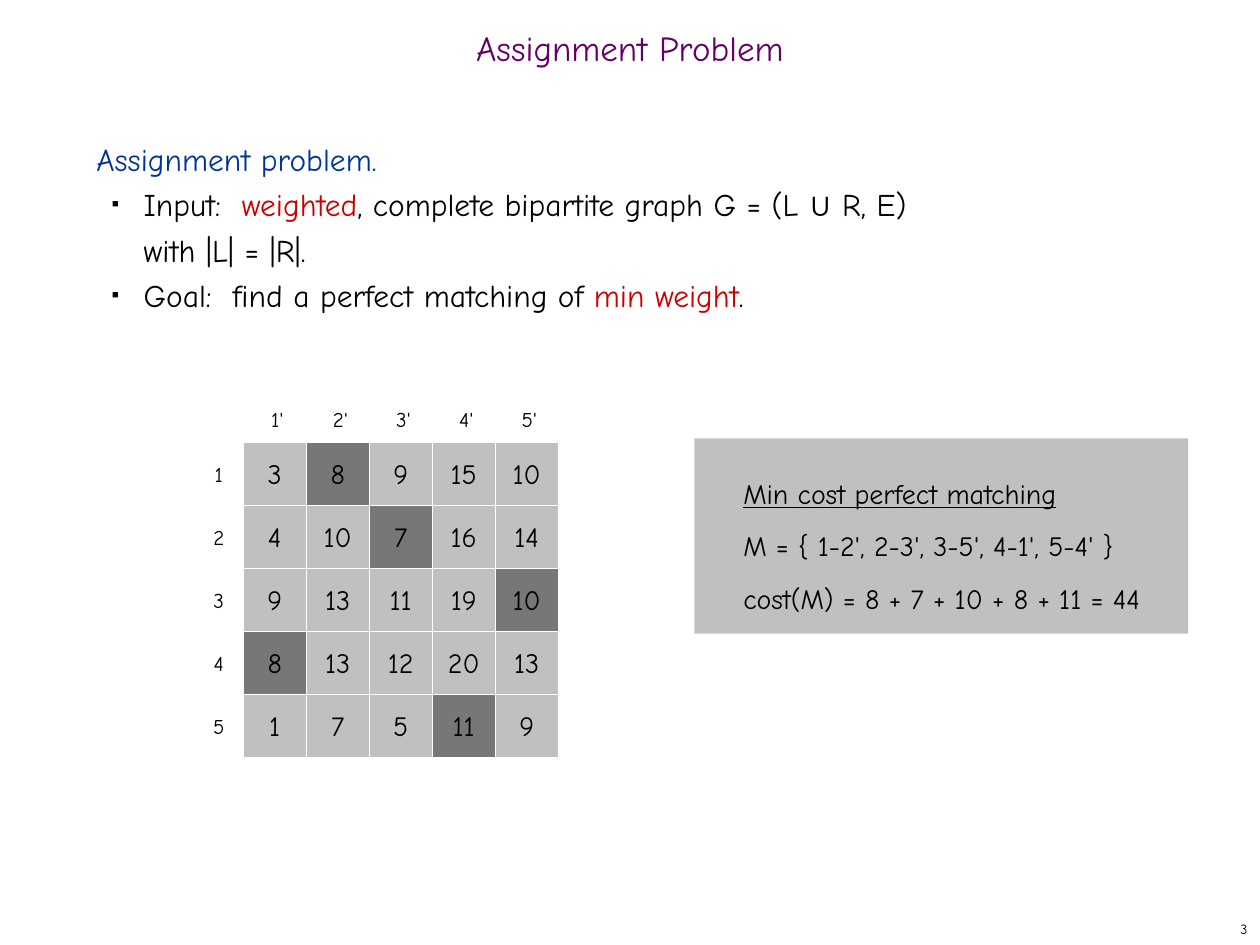
import lxml.etree
import pptx
import pptx.dml.color
import pptx.enum.shapes
import pptx.enum.text
import pptx.oxml.ns
import pptx.util

Pt = pptx.util.Pt
ALIGN = pptx.enum.text.PP_ALIGN
MIDDLE = pptx.enum.text.MSO_ANCHOR.MIDDLE

BLACK = "000000"
WHITE = "FFFFFF"
GREY = "C0C0C0"
DARK_GREY = "777777"
PURPLE = "660066"
BLUE = "003399"
RED = "CC0000"


def rgb(code):
    return pptx.dml.color.RGBColor.from_string(code)


class SlideBuilder:
    font_name = "Comic Neue"
    symbol_font = "Arial"

    def __init__(self, slide):
        self.slide = slide

    def format_run(self, run, size, color=BLACK, font_name=None):
        run.font.name = font_name or self.font_name
        run.font.size = Pt(size)
        run.font.color.rgb = rgb(color)

    def set_text(self, frame, text, size, color=BLACK, align=ALIGN.LEFT, spacing=None):
        frame.text = text
        for paragraph in frame.paragraphs:
            paragraph.alignment = align
            if spacing:
                paragraph.line_spacing = spacing
            for run in paragraph.runs:
                self.format_run(run, size, color)

    def title(self, text, left, top, width, height):
        heading = self.slide.shapes.title
        heading.left, heading.top = Pt(left), Pt(top)
        heading.width, heading.height = Pt(width), Pt(height)
        heading.text_frame.auto_size = pptx.enum.text.MSO_AUTO_SIZE.NONE
        heading.text_frame.vertical_anchor = MIDDLE
        self.set_text(heading.text_frame, text, 20, PURPLE, ALIGN.CENTER, 0.7)

    def text_box(self, text, left, top, width, height, size, color=BLACK,
                 align=ALIGN.LEFT, spacing=None):
        box = self.slide.shapes.add_textbox(Pt(left), Pt(top), Pt(width), Pt(height))
        box.text_frame.word_wrap = True
        self.set_text(box.text_frame, text, size, color, align, spacing)
        return box.text_frame

    def bullet(self, frame, lines, size, spacing):
        paragraph = frame.add_paragraph()
        paragraph.level = 1
        paragraph.line_spacing = spacing
        for number, pieces in enumerate(lines):
            if number:
                paragraph.add_line_break()
            for text, color, font_name in pieces:
                run = paragraph.add_run()
                run.text = text
                self.format_run(run, size, color, font_name)
        properties = paragraph._p.get_or_add_pPr()
        properties.set("marL", str(Pt(27)))
        properties.set("indent", str(Pt(-18)))
        qn = pptx.oxml.ns.qn
        marker_color = lxml.etree.SubElement(properties, qn("a:buClr"))
        lxml.etree.SubElement(marker_color, qn("a:srgbClr"), val=BLACK)
        lxml.etree.SubElement(properties, qn("a:buSzPct"), val="35000")
        lxml.etree.SubElement(properties, qn("a:buFont"), typeface=self.symbol_font)
        lxml.etree.SubElement(properties, qn("a:buChar"), char="■")

    def rectangle(self, text, left, top, width, height, size, fill=None, line=None,
                  align=ALIGN.CENTER, spacing=None):
        rect = self.slide.shapes.add_shape(
            pptx.enum.shapes.MSO_SHAPE.RECTANGLE, Pt(left), Pt(top), Pt(width), Pt(height))
        rect.shadow.inherit = False
        if fill:
            rect.fill.solid()
            rect.fill.fore_color.rgb = rgb(fill)
        else:
            rect.fill.background()
        if line:
            rect.line.color.rgb = rgb(line)
            rect.line.width = Pt(0.75)
        else:
            rect.line.fill.background()
        rect.text_frame.word_wrap = False
        rect.text_frame.vertical_anchor = MIDDLE
        self.set_text(rect.text_frame, text, size, BLACK, align, spacing)
        return rect.text_frame

    def label(self, text, center_x, center_y):
        width, height = 21, 21.6
        self.rectangle(text, center_x - width / 2, center_y - height / 2,
                       width, height, 12, line=WHITE)


def main():
    deck = pptx.Presentation()
    deck.slide_width, deck.slide_height = Pt(720), Pt(540)
    builder = SlideBuilder(deck.slides.add_slide(deck.slide_layouts[5]))

    builder.title("Assignment Problem", 0, 12, 720, 36)

    body_size, body_spacing = 18, Pt(26)
    definition = builder.text_box("Assignment problem.", 48, 72, 618, 426,
                                  body_size, BLUE, spacing=body_spacing)
    input_lines = [
        [("Input:  ", BLACK, None), ("weighted", RED, None),
         (", complete bipartite graph G = (L ", BLACK, None),
         ("∪", BLACK, builder.symbol_font), (" R, E)", BLACK, None)],
        [("with |L| = |R|.", BLACK, None)],
    ]
    goal_lines = [
        [("Goal:  find a perfect matching of ", BLACK, None),
         ("min weight", RED, None), (".", BLACK, None)],
    ]
    for lines in (input_lines, goal_lines):
        builder.bullet(definition, lines, body_size, body_spacing)

    costs = [
        [3, 8, 9, 15, 10],
        [4, 10, 7, 16, 14],
        [9, 13, 11, 19, 10],
        [8, 13, 12, 20, 13],
        [1, 7, 5, 11, 9],
    ]
    matched_columns = [1, 2, 4, 0, 3]
    grid_left, grid_top, cell = 139, 252.75, 36

    for index in range(len(costs)):
        builder.label(str(index + 1), 125, grid_top + cell * (index + 0.5))
    for index in range(len(costs)):
        builder.label(f"{index + 1}'", grid_left + cell * (index + 0.5) + 1.5, 239.75)

    result = builder.rectangle(
        "Min cost perfect matching\n"
        "M = { 1-2', 2-3', 3-5', 4-1', 5-4' }\n"
        "cost(M) = 8 + 7 + 10 + 8 + 11 = 44",
        396.75, 250.5, 282.25, 111.6, 16, GREY, align=ALIGN.LEFT, spacing=Pt(30))
    result.word_wrap = True
    result.margin_left, result.margin_right = Pt(28), Pt(14)
    result.margin_top = result.margin_bottom = Pt(10.8)
    result.paragraphs[0].runs[0].font.underline = True

    for row, (row_costs, matched) in enumerate(zip(costs, matched_columns)):
        for column, cost in enumerate(row_costs):
            fill = DARK_GREY if column == matched else GREY
            builder.rectangle(str(cost), grid_left + cell * column, grid_top + cell * row,
                              cell, cell, 16, fill, WHITE)

    page_number = builder.text_box("3", 570, 522, 150, 18, 8, align=ALIGN.RIGHT)
    page_number.vertical_anchor = MIDDLE

    deck.save("out.pptx")


if __name__ == "__main__":
    main()
